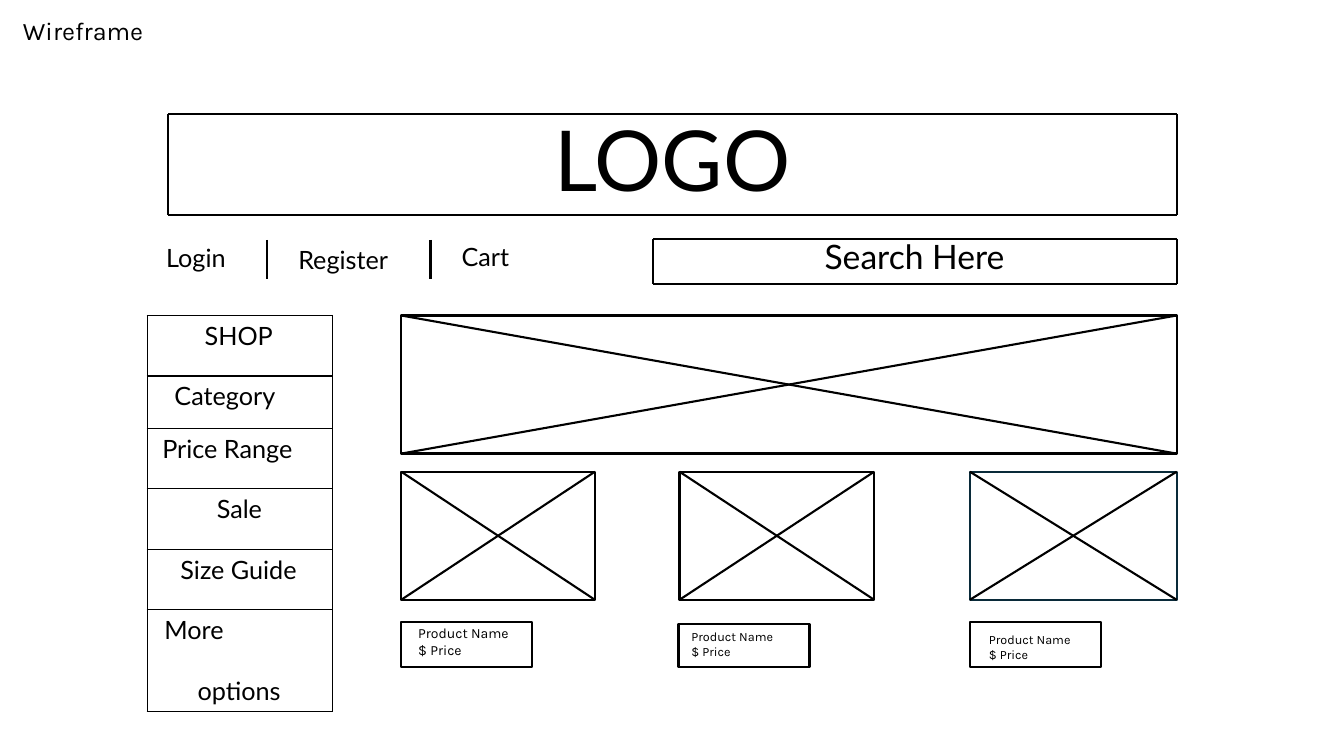
from lxml import etree
from pptx import Presentation
from pptx.dml.color import RGBColor
from pptx.enum.shapes import MSO_CONNECTOR, MSO_SHAPE
from pptx.enum.text import MSO_ANCHOR, PP_ALIGN
from pptx.oxml.ns import qn
from pptx.util import Inches, Pt

STRAIGHT = MSO_CONNECTOR.STRAIGHT
RECTANGLE = MSO_SHAPE.RECTANGLE
TOP, BOTTOM = MSO_ANCHOR.TOP, MSO_ANCHOR.BOTTOM
LEFT, CENTER = PP_ALIGN.LEFT, PP_ALIGN.CENTER
BLACK, WHITE, NAVY = "000000", "FFFFFF", "092A39"

MARGIN, RIGHT = 1.67, 11.67
MENU_LEFT, MENU_WIDTH = 1.46, 1.84
CONTENT_LEFT, CONTENT_TOP = 3.98, 3.13
SEARCH_LEFT = 6.48
CARD_TOP, CARD_BOTTOM = 4.68, 5.95

deck = Presentation()
deck.slide_width, deck.slide_height = Inches(13.33), Inches(7.5)
page = deck.slides.add_slide(deck.slide_layouts[6])


def add_line(x1, y1, x2, y2):
    line = page.shapes.add_connector(STRAIGHT, *map(Inches, (x1, y1, x2, y2)))
    line.line.color.rgb = RGBColor.from_string(BLACK)
    line.line.width = Pt(1.5)
    etree.SubElement(line._element.spPr, qn("a:effectLst"))


def add_text(place, text, size, font, align=LEFT, anchor=TOP, spacing=1.0, before=0):
    box = page.shapes.add_textbox(*map(Inches, place))
    frame = box.text_frame
    frame.word_wrap = True
    frame.vertical_anchor = anchor
    frame.text = text
    for paragraph in frame.paragraphs:
        paragraph.alignment = align
        paragraph.line_spacing = spacing
        paragraph.space_before = Pt(before)
        paragraph.font.size = Pt(size)
        paragraph.font.name = font
        paragraph.font.color.rgb = RGBColor.from_string(BLACK)


add_text((0.13, 0.1, 6.16, 0.4), "Wireframe", 18, "Karla")
add_text((MARGIN, 1.13, 10, 1), "LOGO", 60, "Lato", CENTER, BOTTOM, 0.9)
add_text((SEARCH_LEFT, 2.37, 5.18, 0.45), "Search Here", 24, "Lato", CENTER, TOP, 0.8, 10)

for left, top, bottom in [(MARGIN, 1.13, 2.13), (SEARCH_LEFT, 2.37, 2.82)]:
    for y in (top, bottom):
        add_line(left, y, RIGHT, y)
    for x in (left, RIGHT):
        add_line(x, top, x, bottom)

for label, left, top, width in [
    ("Login", 1.55, 2.35, 0.91),
    ("Register", 2.86, 2.37, 1.41),
    ("Cart", 4.48, 2.34, 0.94),
]:
    add_text((left, top, width, 0.4), label, 18, "Lato")
for x in (2.65, 4.27):
    add_line(x, 2.38, x, 2.77)

menu = [
    (0.6, [("SHOP", 0.57)]),
    (0.52, [("Category", 0.27)]),
    (0.6, [("Price Range", 0.15)]),
    (0.6, [("Sale", 0.69)]),
    (0.6, [("Size Guide", 0.33)]),
    (1.0, [("More", 0.17), ("options", 0.5)]),
]
menu_height = sum(height for height, entries in menu)
menu_place = map(Inches, (MENU_LEFT, CONTENT_TOP, MENU_WIDTH, menu_height))
table = page.shapes.add_table(len(menu), 1, *menu_place).table
table.first_row = table.horz_banding = False
for row, (height, entries) in enumerate(menu):
    table.rows[row].height = Inches(height)
    cell = table.cell(row, 0)
    cell.margin_left = 0
    cell.text = "\n".join(label for label, indent in entries)
    for number, (paragraph, (label, indent)) in enumerate(zip(cell.text_frame.paragraphs, entries)):
        paragraph._p.get_or_add_pPr().set("marL", str(Inches(indent)))
        paragraph.space_before = Pt(22 * number)
        paragraph.font.size = Pt(18)
        paragraph.font.name = "Lato"
        paragraph.font.color.rgb = RGBColor.from_string(BLACK)
    properties = cell._tc.get_or_add_tcPr()
    for side in ("a:lnL", "a:lnR", "a:lnT", "a:lnB"):
        border = etree.SubElement(properties, qn(side), w=str(Pt(1)))
        fill = etree.SubElement(border, qn("a:solidFill"))
        etree.SubElement(fill, qn("a:srgbClr"), val=BLACK)
    cell.fill.background()

banner = (CONTENT_LEFT, CONTENT_TOP, RIGHT, 4.5, BLACK, True)
cards = [
    (CONTENT_LEFT, CARD_TOP, 5.9, CARD_BOTTOM, BLACK, True),
    (6.74, CARD_TOP, 8.67, CARD_BOTTOM, BLACK, True),
    (9.62, CARD_TOP, RIGHT, CARD_BOTTOM, NAVY, True),
]
captions = [
    (left, top, left + 1.3, 6.62, BLACK, False)
    for left, top in [(CONTENT_LEFT, 6.17), (6.73, 6.19), (9.62, 6.17)]
]
for left, top, right, bottom, color, crossed in [banner, *cards, *captions]:
    panel = page.shapes.add_shape(
        RECTANGLE, *map(Inches, (left, top, right - left, bottom - top))
    )
    panel.shadow.inherit = False
    panel.fill.solid()
    panel.fill.fore_color.rgb = RGBColor.from_string(WHITE)
    panel.line.color.rgb = RGBColor.from_string(color)
    panel.line.width = Pt(1.5)
    if crossed:
        add_line(left, top, right, bottom)
        add_line(right, top, left, bottom)

for left, top, width, size in [(4.05, 6.15, 1.56, 10), (6.76, 6.19, 1.3, 9), (9.71, 6.22, 1.13, 9)]:
    add_text((left, top, width, 0.4), "Product Name\n$ Price", size, "Karla")

deck.save("out.pptx")
